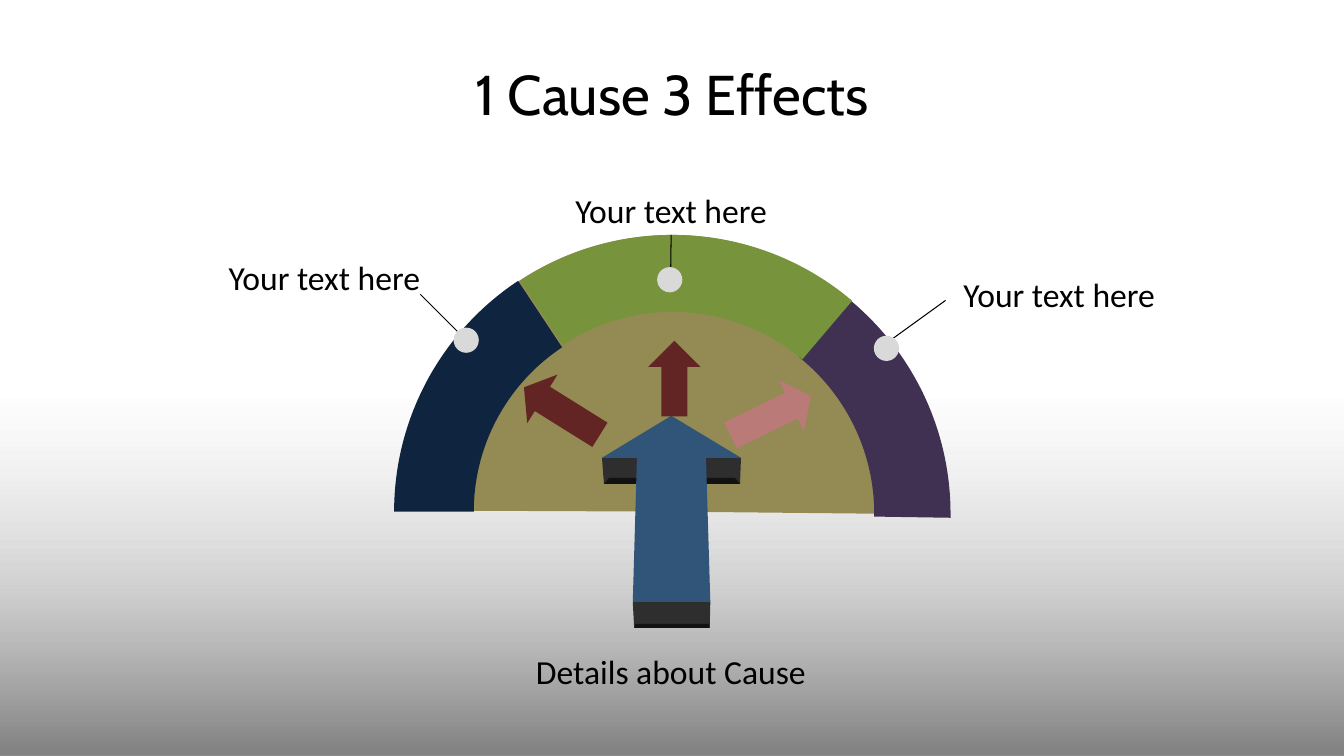
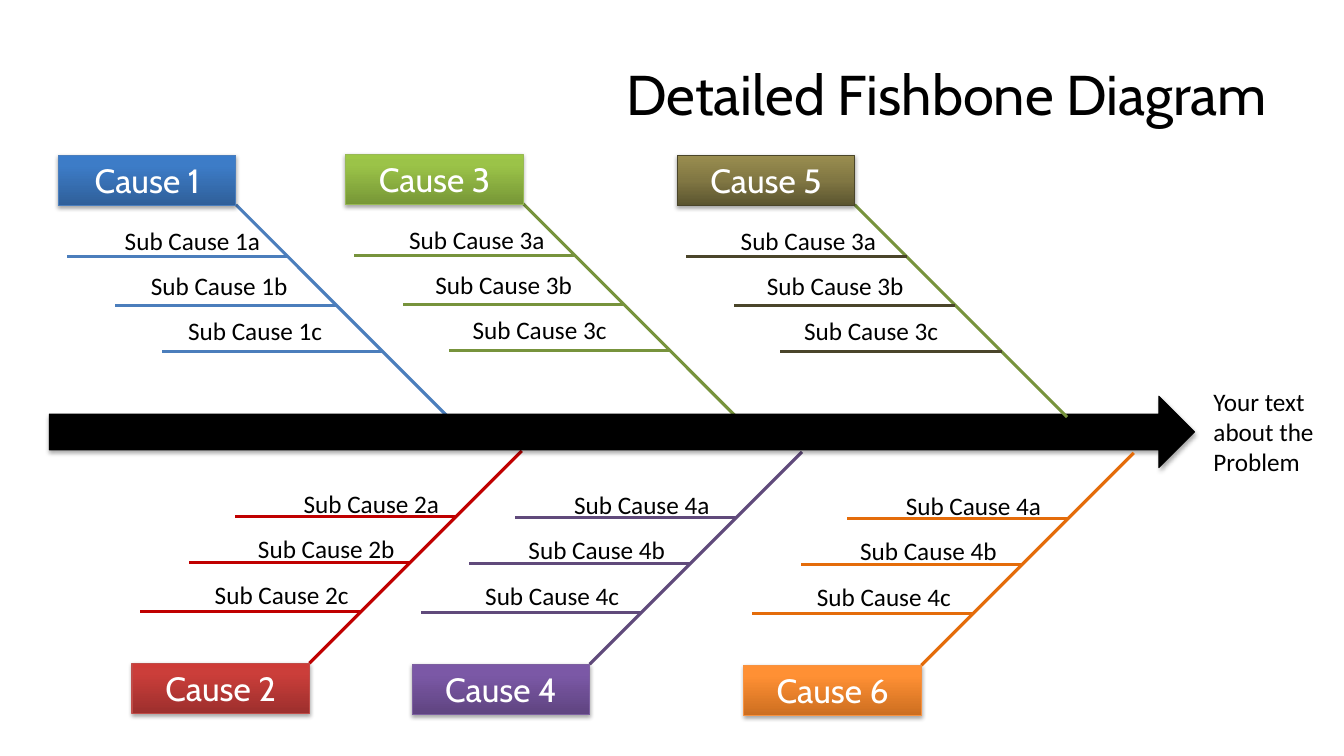
import dataclasses

import lxml.etree
import pptx
import pptx.dml.color
import pptx.enum.shapes
import pptx.enum.text
import pptx.oxml.ns
import pptx.util

Pt = pptx.util.Pt
RGBColor = pptx.dml.color.RGBColor
Preset = pptx.enum.shapes.MSO_SHAPE
Align = pptx.enum.text.PP_ALIGN
Anchor = pptx.enum.text.MSO_ANCHOR
AutoSize = pptx.enum.text.MSO_AUTO_SIZE
qn = pptx.oxml.ns.qn

BLACK = RGBColor(0x00, 0x00, 0x00)
WHITE = RGBColor(0xFF, 0xFF, 0xFF)
LIGHT_GREY = RGBColor(0xD9, 0xD9, 0xD9)
MIDDLE_GREY = RGBColor(0xBF, 0xBF, 0xBF)
DARK_GREY = RGBColor(0x80, 0x80, 0x80)
KHAKI = RGBColor(0x94, 0x8A, 0x54)
NAVY = RGBColor(0x0F, 0x24, 0x3E)
PLUM = RGBColor(0x40, 0x31, 0x52)
GREEN = RGBColor(0x77, 0x93, 0x3C)
MAROON = RGBColor(0x63, 0x25, 0x23)
ROSE = RGBColor(0xB9, 0x7A, 0x78)
ARROW_FACE = RGBColor(0x31, 0x54, 0x79)
ARROW_SIDE = RGBColor(0x2E, 0x2E, 0x2E)
ARROW_UNDERSIDE = RGBColor(0x12, 0x12, 0x12)
BLUE = RGBColor(0x4B, 0x7E, 0xBC)
BLUE_STOPS = (RGBColor(0x2F, 0x5F, 0x99), RGBColor(0x3D, 0x7C, 0xC7), RGBColor(0x3A, 0x7C, 0xCB))
LIME = RGBColor(0x98, 0xB9, 0x55)
LIME_STOPS = (RGBColor(0x77, 0x97, 0x37), RGBColor(0x9B, 0xC3, 0x48), RGBColor(0x9D, 0xC7, 0x46))
RED = RGBColor(0xC0, 0x00, 0x00)
RED_BORDER = RGBColor(0xBF, 0x4C, 0x48)
RED_STOPS = (RGBColor(0x9C, 0x2F, 0x2D), RGBColor(0xCB, 0x3E, 0x3A), RGBColor(0xCE, 0x3B, 0x37))
PURPLE = RGBColor(0x60, 0x4A, 0x7B)
PURPLE_BORDER = RGBColor(0x7D, 0x60, 0xA0)
PURPLE_STOPS = (RGBColor(0x5F, 0x44, 0x80), RGBColor(0x7B, 0x58, 0xA6), RGBColor(0x7C, 0x57, 0xA8))
OLIVE = RGBColor(0x4A, 0x45, 0x2A)
OLIVE_STOPS = (RGBColor(0x5A, 0x54, 0x2F), RGBColor(0x81, 0x77, 0x43), RGBColor(0x99, 0x8D, 0x4F))
ORANGE = RGBColor(0xE4, 0x6C, 0x0A)
ORANGE_BORDER = RGBColor(0xF6, 0x92, 0x40)
ORANGE_STOPS = (RGBColor(0xCC, 0x6E, 0x20), RGBColor(0xFF, 0x90, 0x34), RGBColor(0xFF, 0x91, 0x36))

TITLE_BOX = {"left": Pt(48), "top": Pt(21.6), "width": Pt(864), "height": Pt(90)}
TITLE_FONT = {"name": "Cabin", "size": Pt(40)}
CAUSE_FONT = {"name": "Cabin", "size": Pt(24)}
LABEL_FONT = {"name": "Calibri", "size": Pt(24)}
SMALL_FONT = {"name": "Calibri", "size": Pt(18)}

CAUSE_WIDTH, CAUSE_HEIGHT = 126.7, 36
RIB_REACH, TWIG_LENGTH = 151.7, 158
TWIG_DISTANCES = (37.2, 72, 105)
UPPER_LABELS = ((38.2, 46.4), (56.9, 78.8), (83.5, 110.5))
LOWER_LABELS = ((108.5, -128.5), (75.9, -96.3), (45, -63.6))


@dataclasses.dataclass
class Bone:
    cause: int
    letters_of: int
    left: float
    top: float
    rib: RGBColor
    twig: RGBColor
    border: RGBColor
    stops: tuple
    middle: int = 80
    label_shift: float = 0


BONES = (
    Bone(1, 1, 41.8, 110.9, BLUE, BLUE, BLUE, BLUE_STOPS, label_shift=2),
    Bone(3, 3, 247, 110.2, GREEN, GREEN, LIME, LIME_STOPS),
    Bone(2, 2, 94.3, 473.8, RED, RED, RED_BORDER, RED_STOPS, label_shift=7),
    Bone(4, 4, 294.5, 474.5, PURPLE, PURPLE, PURPLE_BORDER, PURPLE_STOPS),
    Bone(5, 3, 483.8, 110.9, GREEN, OLIVE, OLIVE, OLIVE_STOPS, middle=50),
    Bone(6, 4, 531.4, 475.2, ORANGE, ORANGE, ORANGE_BORDER, ORANGE_STOPS),
)


def apply_format(target, values):
    for name, value in values.items():
        setattr(target, name, value)


def write_text(shape, text, font, color, alignment=Align.LEFT):
    shape.text_frame.text = text
    paragraph = shape.text_frame.paragraphs[0]
    paragraph.alignment = alignment
    apply_format(paragraph.font, font)
    paragraph.font.color.rgb = color


def add_titled_slide(presentation, text, alignment):
    slide = presentation.slides.add_slide(presentation.slide_layouts[5])
    title = slide.shapes.title
    apply_format(title, TITLE_BOX)
    title.text_frame.vertical_anchor = Anchor.MIDDLE
    write_text(title, text, TITLE_FONT, BLACK, alignment)
    return slide


def paint(shape, color):
    shape.shadow.inherit = False
    shape.fill.solid()
    shape.fill.fore_color.rgb = color
    shape.line.fill.background()


def add_preset(shapes, preset, box, color, adjustments=(), rotation=0):
    shape = shapes.add_shape(preset, *map(Pt, box))
    paint(shape, color)
    for index, value in enumerate(adjustments):
        shape.adjustments[index] = value
    shape.rotation = rotation
    return shape


def add_polygon(shapes, points, color):
    corners = [(Pt(x), Pt(y)) for x, y in points]
    builder = shapes.build_freeform(*corners[0])
    builder.add_line_segments(corners[1:], close=True)
    paint(builder.convert_to_shape(), color)


def add_color(parent, color, opacity):
    node = lxml.etree.SubElement(parent, qn("a:srgbClr"), val=str(color))
    if opacity < 100:
        lxml.etree.SubElement(node, qn("a:alpha"), val=str(opacity * 1000))


def set_gradient(shape, angle, stops):
    shape.fill.gradient()
    shape.fill.gradient_angle = angle
    stop_list = shape.element.spPr.find(qn("a:gradFill")).find(qn("a:gsLst"))
    for stop in list(stop_list):
        stop_list.remove(stop)
    for position, color, opacity in stops:
        stop = lxml.etree.SubElement(stop_list, qn("a:gs"), pos=str(position * 1000))
        add_color(stop, color, opacity)


def set_border(shape, color):
    shape.line.color.rgb = color
    shape.line.width = Pt(0.75)


def add_soft_shadow(shape):
    effects = shape.element.spPr.find(qn("a:effectLst"))
    shadow = lxml.etree.SubElement(
        effects, qn("a:outerShdw"), blurRad=str(Pt(3.1)), dist=str(Pt(1.8)),
        dir="5400000", rotWithShape="0")
    add_color(shadow, BLACK, 35)


def add_line(shapes, start, end, color, width):
    kind = pptx.enum.shapes.MSO_CONNECTOR.STRAIGHT
    connector = shapes.add_connector(kind, *map(Pt, (*start, *end)))
    connector.line.color.rgb = color
    connector.line.width = Pt(width)
    lxml.etree.SubElement(connector.element.spPr, qn("a:effectLst"))


def add_label(shapes, text, box, font, wrap=False):
    label = shapes.add_textbox(*map(Pt, box))
    write_text(label, text, font, BLACK)
    apply_format(label.text_frame, {"word_wrap": wrap, "auto_size": AutoSize.SHAPE_TO_FIT_TEXT})


def add_callout(slide, label_corner, dot_corner, start, end):
    shapes = slide.shapes.add_group_shape().shapes
    add_line(shapes, start, end, BLACK, 0.75)
    add_label(shapes, "Your text here", (*label_corner, 152.6, 36), LABEL_FONT)
    add_preset(shapes, Preset.OVAL, (*dot_corner, 18, 18), LIGHT_GREY)


def add_dial(slide):
    shapes = slide.shapes.add_group_shape().shapes
    for preset, left, top, color, adjustments in (
        (Preset.PIE, 282.2, 167.8, KHAKI, (108.15, 0.35)),
        (Preset.BLOCK_ARC, 281.5, 167.8, NAVY, (108, 141.9, 0.144)),
        (Preset.BLOCK_ARC, 283.7, 169.2, PLUM, (185.3, 0.52, 0.138)),
        (Preset.BLOCK_ARC, 283, 167.8, GREEN, (141.91, 186.22, 0.139)),
    ):
        add_preset(shapes, preset, (left, top, 395.3, 395.3), color, adjustments)


def add_cause_arrow(slide):
    shapes = slide.shapes.add_group_shape().shapes
    for color, points in (
        (ARROW_SIDE, ((430, 327), (529.3, 327), (528.6, 345.6), (431.4, 345.6))),
        (ARROW_UNDERSIDE, ((435, 341.4), (525, 341.4), (528.6, 345.6), (431.4, 345.6))),
        (ARROW_SIDE, ((452, 430), (507.4, 430), (507, 448.5), (453, 448.5))),
        (ARROW_UNDERSIDE, ((454, 445.7), (506, 445.7), (507, 448.5), (453, 448.5))),
        (ARROW_FACE, ((479.5, 297), (529.3, 327), (504.3, 327), (507.4, 430),
                      (452, 430), (455, 327), (430, 327))),
    ):
        add_polygon(shapes, points, color)


def add_bone(slide, bone):
    shapes = slide.shapes.add_group_shape().shapes
    upper = bone.top < 270
    direction = 1 if upper else -1
    corner_x = bone.left + CAUSE_WIDTH
    corner_y = bone.top + (CAUSE_HEIGHT - 0.7 if upper else 0)
    rib_end = (corner_x + RIB_REACH, corner_y + direction * RIB_REACH)
    add_line(shapes, (corner_x, corner_y), rib_end, bone.rib, 2.25)

    box = (bone.left, bone.top, CAUSE_WIDTH, CAUSE_HEIGHT)
    cause = add_preset(shapes, Preset.RECTANGLE, box, bone.border)
    set_gradient(cause, 90, zip((0, bone.middle, 100), bone.stops, (100, 100, 100)))
    set_border(cause, bone.border)
    add_soft_shadow(cause)
    cause.text_frame.vertical_anchor = Anchor.MIDDLE
    write_text(cause, f"Cause {bone.cause}", CAUSE_FONT, WHITE, Align.CENTER)

    for distance in TWIG_DISTANCES:
        x, y = corner_x + distance, corner_y + direction * distance
        add_line(shapes, (x, y), (x - TWIG_LENGTH, y), bone.twig, 2.25)
    for letter, (x, y) in zip("abc", UPPER_LABELS if upper else LOWER_LABELS):
        place = (bone.left + x + bone.label_shift, bone.top + y, 112.5, 29)
        add_label(shapes, f"Sub Cause {bone.letters_of}{letter}", place, SMALL_FONT)


def build_effects_slide(presentation):
    slide = add_titled_slide(presentation, "1 Cause 3 Effects", Align.CENTER)
    floor = add_preset(slide.shapes, Preset.RECTANGLE, (0, 284.4, 960, 255.6), DARK_GREY)
    set_gradient(floor, 270, ((0, LIGHT_GREY, 4), (46, MIDDLE_GREY, 60), (100, DARK_GREY, 100)))
    add_dial(slide)
    add_cause_arrow(slide)
    for box, color, rotation, head in (
        ((380.9, 261.6, 41, 64), MAROON, 302, 0.38),
        ((530, 265, 41, 64), ROSE, 64, 0.38),
        ((463, 243.4, 37.4, 54), MAROON, 0, 0.5),
    ):
        add_preset(slide.shapes, Preset.UP_ARROW, box, color, (0.5, head), rotation)
    add_callout(slide, (403.9, 131.8), (469.4, 190.8), (479, 198), (479.4, 167.8))
    add_callout(slide, (156.2, 180), (324, 234), (326.9, 236.9), (300.2, 210.2))
    add_callout(slide, (681.1, 192.2), (624.2, 239.8), (633.6, 244.8), (675.4, 214.6))
    add_label(slide.shapes, "Details about Cause", (375.8, 461.5, 208.8, 36), LABEL_FONT)


def build_fishbone_slide(presentation):
    slide = add_titled_slide(presentation, "Detailed Fishbone Diagram", Align.RIGHT)
    for bone in BONES[:4]:
        add_bone(slide, bone)
    spine = add_preset(slide.shapes, Preset.RIGHT_ARROW, (35.3, 283, 818, 51), BLACK)
    set_border(spine, BLACK)
    add_soft_shadow(spine)
    add_label(slide.shapes, "Your text about the Problem", (859.7, 272.2, 93.6, 72.7), SMALL_FONT, True)
    for bone in BONES[4:]:
        add_bone(slide, bone)


def main():
    presentation = pptx.Presentation()
    apply_format(presentation, {"slide_width": Pt(960), "slide_height": Pt(540)})
    build_effects_slide(presentation)
    build_fishbone_slide(presentation)
    presentation.save("out.pptx")


if __name__ == "__main__":
    main()
